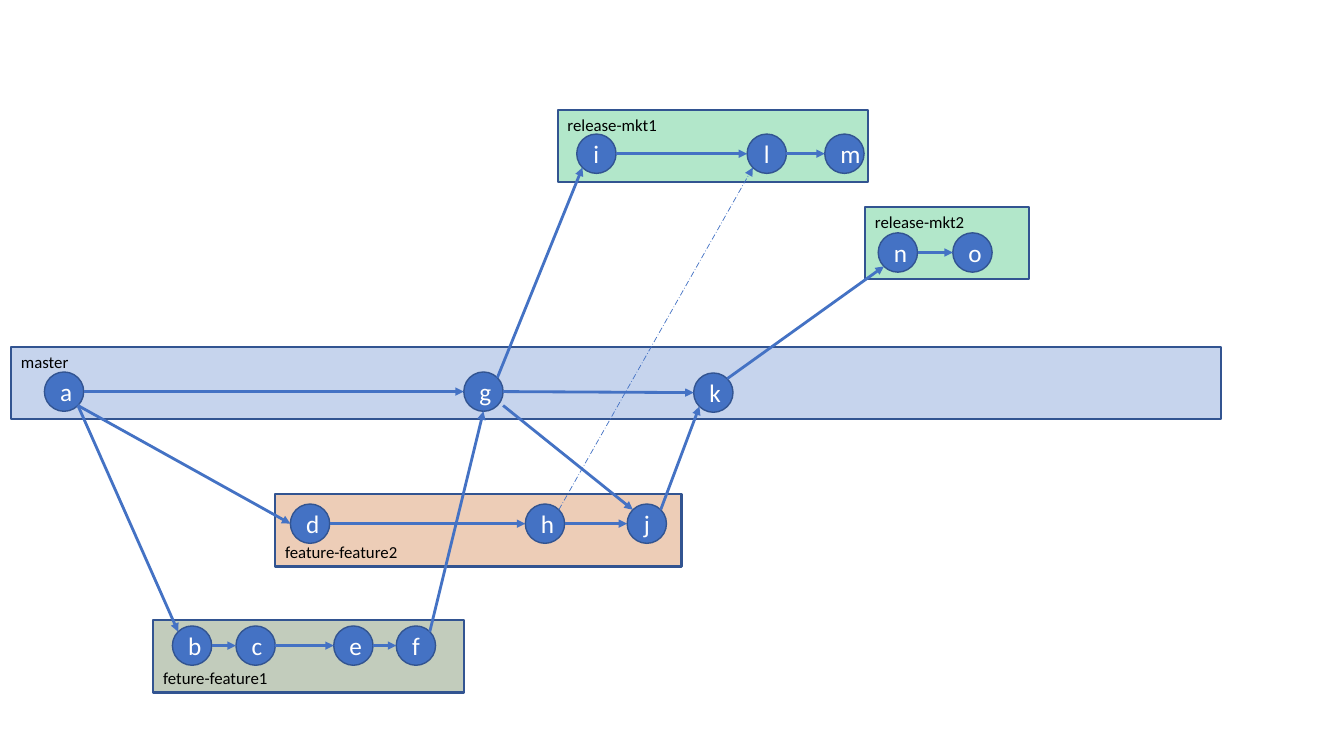
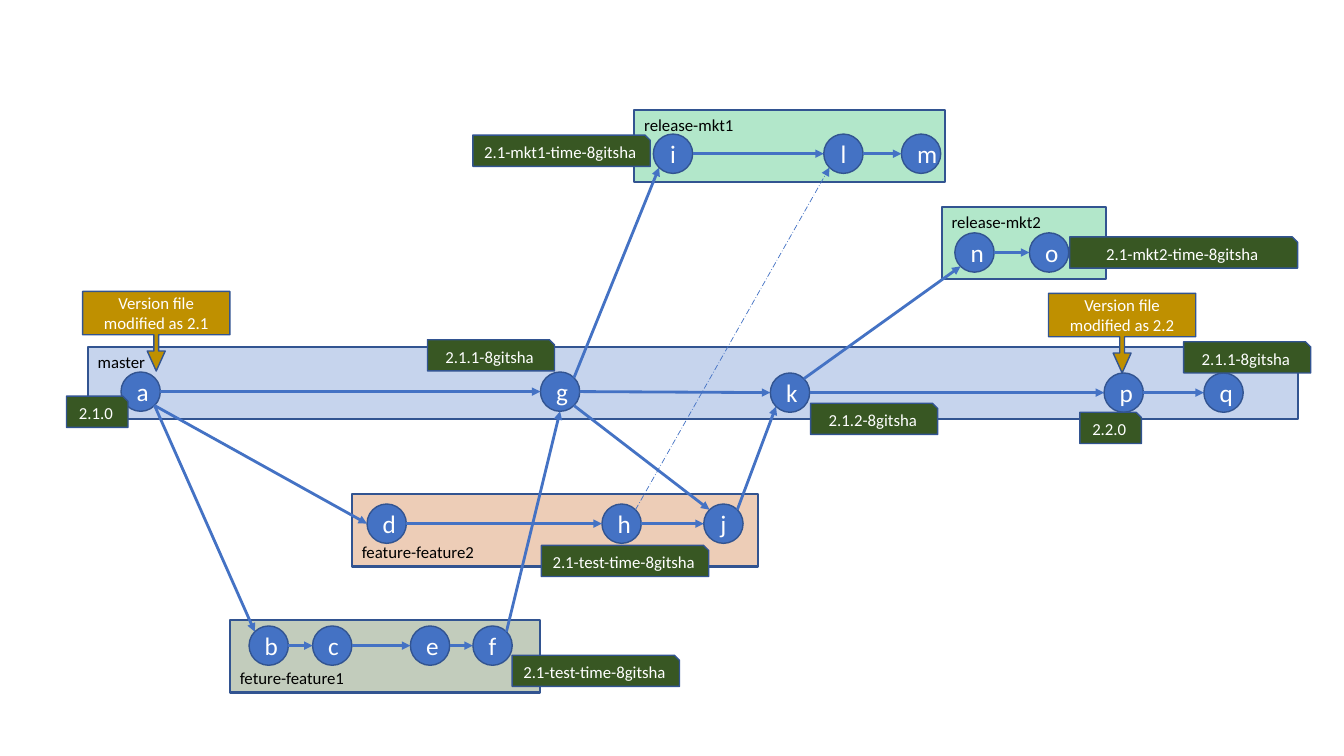
import math

import pptx
import pptx.dml.color
import pptx.enum.dml
import pptx.enum.shapes
import pptx.enum.text
import pptx.oxml.ns
import pptx.util
from lxml import etree

PX = 9144
SLIDE_SIZE = (1333, 750)
FONT = "Calibri"
BLUE, OUTLINE = "4472C4", "325491"
GREEN, DARK_GREEN, ORANGE, GOLD = "00B050", "385723", "C55A11", "BF9000"
WHITE, BLACK = "FFFFFF", "000000"

SHAPES = pptx.enum.shapes.MSO_SHAPE
ANCHORS = pptx.enum.text.MSO_ANCHOR
ALIGNS = pptx.enum.text.PP_ALIGN

BAND_HEIGHT, BAND_OPACITY = 72, 30
BRANCHES = [
    ("release-mkt2", 858, 205, 163, GREEN, ANCHORS.TOP),
    ("release-mkt1", 553, 109, 308, GREEN, ANCHORS.TOP),
    ("feture-feature1", 152, 615, 308, DARK_GREEN, ANCHORS.BOTTOM),
    ("feature-feature2", 273, 490, 403, ORANGE, ANCHORS.BOTTOM),
    ("master", 11, 344, 1200, BLUE, ANCHORS.TOP),
]

COMMIT_SIZE = 39
COMMITS = {
    "a": (44, 369), "g": (460, 369), "k": (688, 370),
    "b": (171, 621), "c": (234, 621), "e": (331, 621), "f": (393, 621),
    "d": (288, 500), "h": (521, 500), "j": (622, 500),
    "i": (572, 133), "l": (741, 133), "m": (818, 133),
    "n": (871, 231), "o": (945, 231),
}
LATER_COMMITS = {"p": (1019, 370), "q": (1118, 370)}

DIAGONAL = math.sqrt(0.5)
SITES = {
    "E": (1, 0), "W": (-1, 0), "S": (0, 1),
    "NE": (DIAGONAL, -DIAGONAL), "NW": (-DIAGONAL, -DIAGONAL),
    "SE": (DIAGONAL, DIAGONAL), "SW": (-DIAGONAL, DIAGONAL),
    "outer SE": (1, DIAGONAL),
}
SEQUENCES = ["ag", "gk", "bc", "ce", "ef", "dh", "hj", "il", "lm", "no"]
LATER_SEQUENCES = ["kp", "pq"]
BRANCHINGS = [
    ("a", "SE", "b", "NW"),
    ("a", "SE", "d", "W"),
    ("f", "NE", "g", "S"),
    ("j", "NE", "k", "SW"),
    ("g", "NE", "i", "SW"),
    ("k", "NE", "n", "SW"),
]
CHERRY_PICK = ("h", "NE", "l", "SW")

VERSION_NOTES = [
    ("Version file modified as 2.2", 1040, 291),
    ("Version file modified as 2.1", 82, 289),
]
NOTE_SIZE = (146, 79)
NOTE_ADJUSTMENTS = (0.059, 0.113, 0.25, 0.546)

TAG_HEIGHT = 31
TAGS = [
    ("2.1.0", 66, 393, 61),
    ("2.1.1-8gitsha", 424, 337, 126),
    ("2.1.2-8gitsha", 804, 400, 126),
    ("2.2.0", 1071, 409, 61),
    ("2.1.1-8gitsha", 1174, 339, 126),
    ("2.1-mkt1-time-8gitsha", 469, 134, 176),
    ("2.1-mkt2-time-8gitsha", 1061, 235, 226),
    ("2.1-test-time-8gitsha", 508, 650, 166),
    ("2.1-test-time-8gitsha", 537, 541, 166),
]

FLOWS = [
    {"shift": 0, "commits": COMMITS, "sequences": SEQUENCES,
     "merge_site": "outer SE", "notes": [], "tags": []},
    {"shift": 76, "commits": {**COMMITS, **LATER_COMMITS},
     "sequences": SEQUENCES + LATER_SEQUENCES,
     "merge_site": "SE", "notes": VERSION_NOTES, "tags": TAGS},
]


def emu(*lengths):
    return [pptx.util.Emu(round(length * PX)) for length in lengths]


def paint(color_format, color):
    color_format.rgb = pptx.dml.color.RGBColor.from_string(color)


def sub(parent, tag, **attributes):
    return etree.SubElement(parent, pptx.oxml.ns.qn(tag), attributes)


def add_block(slide, kind, box, text, fill, size=12, color=WHITE, line=1,
              anchor=ANCHORS.MIDDLE, align=ALIGNS.CENTER):
    block = slide.shapes.add_shape(kind, *emu(*box))
    block.shadow.inherit = False
    block.fill.solid()
    paint(block.fill.fore_color, fill)
    paint(block.line.color, OUTLINE)
    block.line.width = pptx.util.Pt(line)
    frame = block.text_frame
    frame.word_wrap = True
    frame.vertical_anchor = anchor
    paragraph = frame.paragraphs[0]
    paragraph.text = text
    paragraph.alignment = align
    paragraph.font.name = FONT
    paragraph.font.size = pptx.util.Pt(size)
    paint(paragraph.font.color, color)
    return block


def add_branch(slide, shift, name, left, top, width, fill, anchor):
    band = add_block(slide, SHAPES.RECTANGLE,
                     (left + shift, top, width, BAND_HEIGHT), name, fill,
                     color=BLACK, line=1.5, anchor=anchor, align=ALIGNS.LEFT)
    tint = band.fill._xPr.find(".//" + pptx.oxml.ns.qn("a:srgbClr"))
    sub(tint, "a:alpha", val=str(BAND_OPACITY * 1000))


def site_point(corner, site, shift):
    radius = COMMIT_SIZE / 2
    across, down = SITES[site]
    left, top = corner
    return left + shift + radius * (1 + across), top + radius * (1 + down)


def add_arrow(slide, start, end, width=2, dash=None):
    arrow = slide.shapes.add_connector(
        pptx.enum.shapes.MSO_CONNECTOR.STRAIGHT, *emu(*start, *end))
    paint(arrow.line.color, BLUE)
    arrow.line.width = pptx.util.Pt(width)
    if dash:
        arrow.line.dash_style = dash
    properties = arrow._element.spPr
    sub(properties.find(pptx.oxml.ns.qn("a:ln")), "a:tailEnd", type="triangle")
    sub(properties, "a:effectLst")


def add_flow(deck, flow):
    slide = deck.slides.add_slide(deck.slide_layouts[6])
    shift, commits = flow["shift"], flow["commits"]
    for branch in BRANCHES:
        add_branch(slide, shift, *branch)
    for name, (left, top) in commits.items():
        add_block(slide, SHAPES.OVAL,
                  (left + shift, top, COMMIT_SIZE, COMMIT_SIZE),
                  name, BLUE, size=18)

    def link(source, source_site, target, target_site, **style):
        add_arrow(slide, site_point(commits[source], source_site, shift),
                  site_point(commits[target], target_site, shift), **style)

    for source, target in flow["sequences"]:
        link(source, "E", target, "W")
    for branching in BRANCHINGS:
        link(*branching)
    link("g", flow["merge_site"], "j", "NW")
    link(*CHERRY_PICK, width=0.5,
         dash=pptx.enum.dml.MSO_LINE.LONG_DASH_DOT)

    for text, left, top in flow["notes"]:
        note = add_block(slide, SHAPES.DOWN_ARROW_CALLOUT,
                         (left, top, *NOTE_SIZE), text, GOLD)
        for index, value in enumerate(NOTE_ADJUSTMENTS):
            note.adjustments[index] = value
    for text, left, top, width in flow["tags"]:
        add_block(slide, SHAPES.SNIP_1_RECTANGLE,
                  (left, top, width, TAG_HEIGHT), text, DARK_GREEN)


def main():
    deck = pptx.Presentation()
    deck.slide_width, deck.slide_height = emu(*SLIDE_SIZE)
    for flow in FLOWS:
        add_flow(deck, flow)
    deck.save("out.pptx")


if __name__ == "__main__":
    main()
